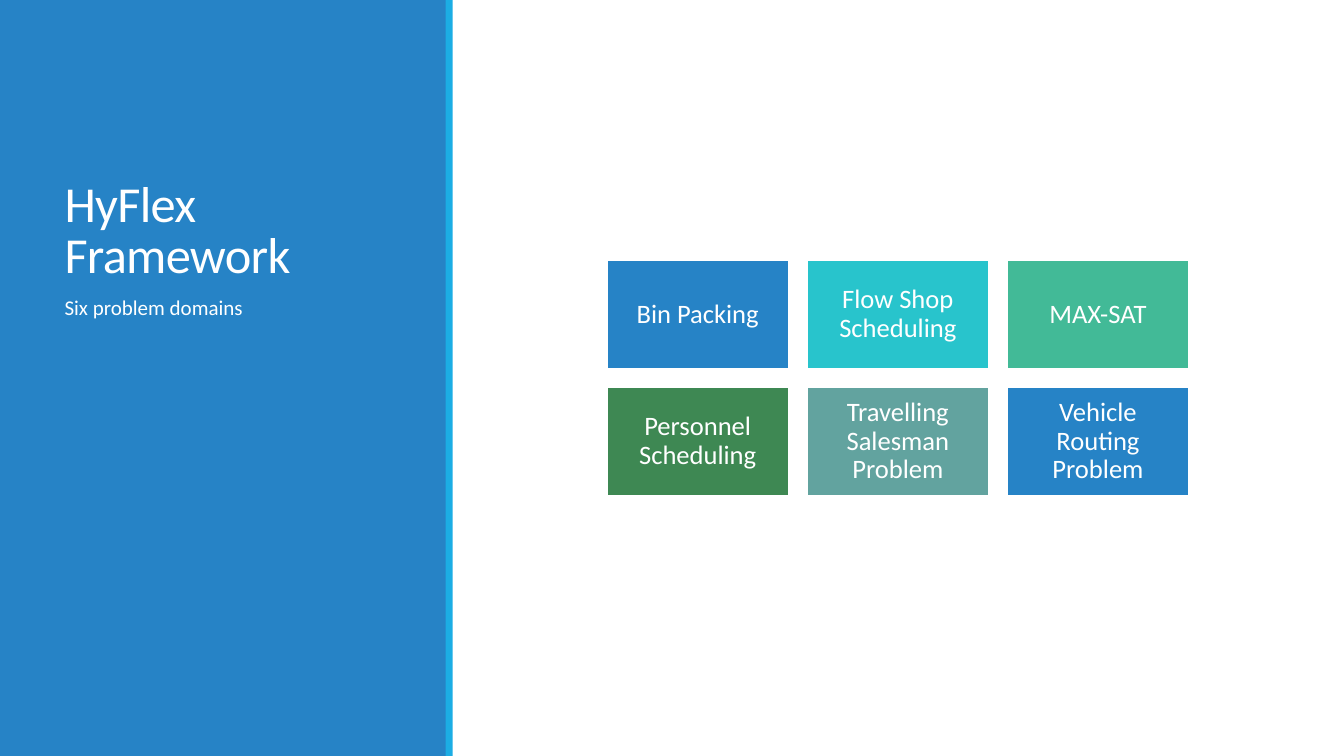
from lxml import etree
from pptx import Presentation
from pptx.dml.color import RGBColor
from pptx.enum.shapes import MSO_SHAPE
from pptx.enum.text import MSO_ANCHOR, MSO_AUTO_SIZE, PP_ALIGN
from pptx.oxml.ns import qn
from pptx.util import Inches, Pt

RECTANGLE = MSO_SHAPE.RECTANGLE
TOP, MIDDLE, BOTTOM = MSO_ANCHOR.TOP, MSO_ANCHOR.MIDDLE, MSO_ANCHOR.BOTTOM
LEFT, CENTER = PP_ALIGN.LEFT, PP_ALIGN.CENTER
NO_AUTOFIT = MSO_AUTO_SIZE.NONE

COLORS = {
    "white": "FFFFFF", "blue": "2683C6", "sky": "1CADE4", "turquoise": "28C4CC",
    "mint": "42BA97", "green": "3E8853", "sage": "62A39F",
}


def add_rectangle(left, top, width, height, color):
    shape = slide.shapes.add_shape(
        RECTANGLE, Inches(left), Inches(top), Inches(width), Inches(height))
    shape.shadow.inherit = False
    shape.fill.solid()
    shape.fill.fore_color.rgb = RGBColor.from_string(COLORS[color])
    shape.line.fill.background()
    return shape


def write_text(shape, text, size, frame_format, paragraph_format):
    """Fill the shape with one white Calibri paragraph and return it."""
    frame = shape.text_frame
    frame.text = text
    paragraph = frame.paragraphs[0]
    font = paragraph.runs[0].font
    font_format = {"name": "Calibri", "size": Pt(size)}
    frame_format = {"word_wrap": True, "auto_size": NO_AUTOFIT, **frame_format}
    for target, values in ((frame, frame_format), (paragraph, paragraph_format),
                           (font, font_format)):
        for name, value in values.items():
            setattr(target, name, value)
    font.color.rgb = RGBColor.from_string(COLORS["white"])
    return paragraph


presentation = Presentation()
presentation.slide_width = Inches(13.33)
presentation.slide_height = Inches(7.5)
slide = presentation.slides.add_slide(presentation.slide_layouts[1])
title, body = slide.shapes.title, slide.placeholders[1]

# Side panel, placed behind the title and body
for left, width, color in ((0, 4.43, "blue"), (4.42, 0.07, "sky")):
    panel = add_rectangle(left, 0, width, 7.5, color)
    title.element.addprevious(panel.element)

for placeholder, top, height in ((title, 0.57, 2.3), (body, 2.9, 3.65)):
    placeholder.left, placeholder.top = Inches(0.54), Inches(top)
    placeholder.width, placeholder.height = Inches(3.37), Inches(height)

heading = write_text(
    title, "HyFlex Framework", 36,
    {"vertical_anchor": BOTTOM},
    {"alignment": LEFT, "line_spacing": 0.85})
heading.runs[0].font._element.set("spc", "-50")

subtitle = write_text(
    body, "Six problem domains", 15,
    {"vertical_anchor": TOP, "margin_left": 0, "margin_right": 0},
    {"line_spacing": 0.9, "space_before": Pt(12), "space_after": Pt(2)})
properties = subtitle._p.get_or_add_pPr()
properties.set("marL", str(Inches(0.1)))
properties.set("indent", "0")
etree.SubElement(properties, qn("a:buNone"))

# Six problem domains in a grid of three columns
domains = [
    ("Bin Packing", "blue"),
    ("Flow Shop Scheduling", "turquoise"),
    ("MAX-SAT", "mint"),
    ("Personnel Scheduling", "green"),
    ("Travelling Salesman Problem", "sage"),
    ("Vehicle Routing Problem", "blue"),
]
margins = {f"margin_{side}": Inches(0.08) for side in ("left", "top", "right", "bottom")}
for index, (domain, color) in enumerate(domains):
    row, column = divmod(index, 3)
    box = add_rectangle(6.02 + column * 1.985, 2.58 + row * 1.26, 1.8, 1.08, color)
    box.line.color.rgb = RGBColor.from_string(COLORS["white"])
    box.line.width = Pt(1.25)
    write_text(box, domain, 19, {"vertical_anchor": MIDDLE, **margins},
               {"alignment": CENTER, "line_spacing": 0.9})

presentation.save("out.pptx")
